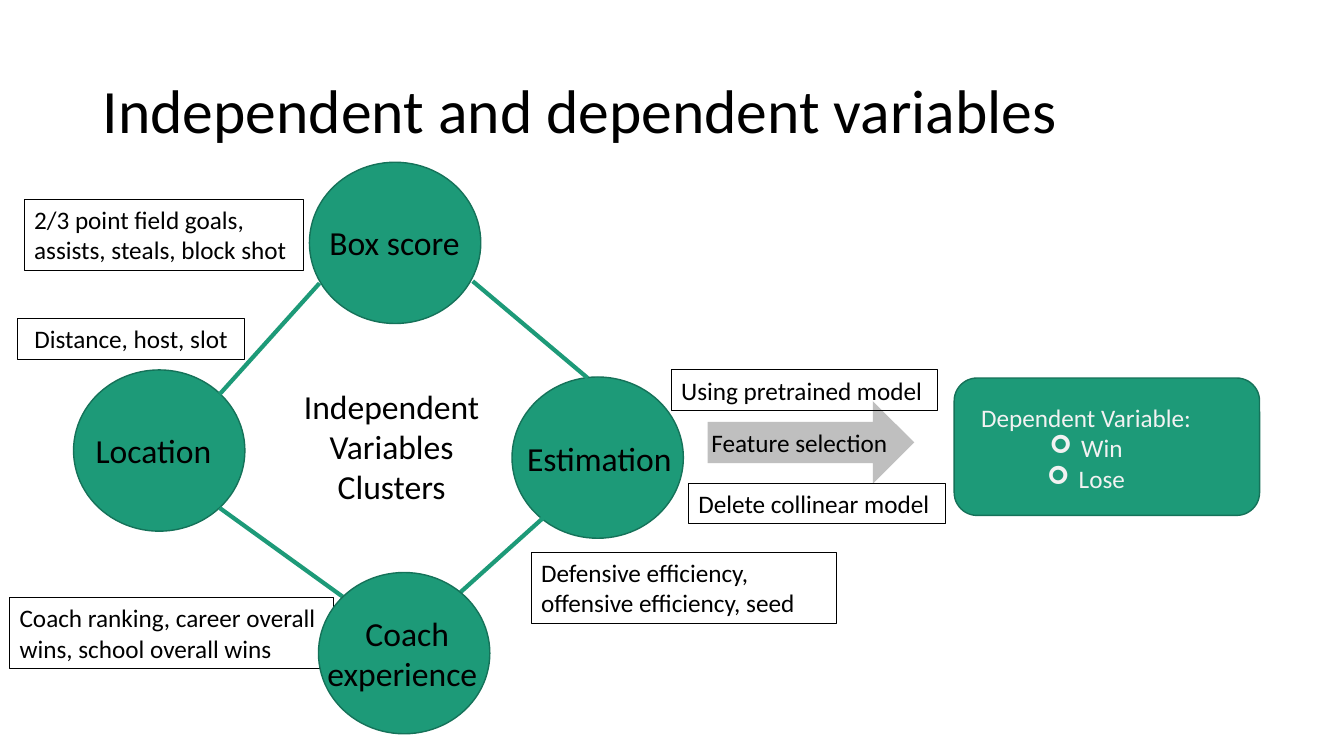
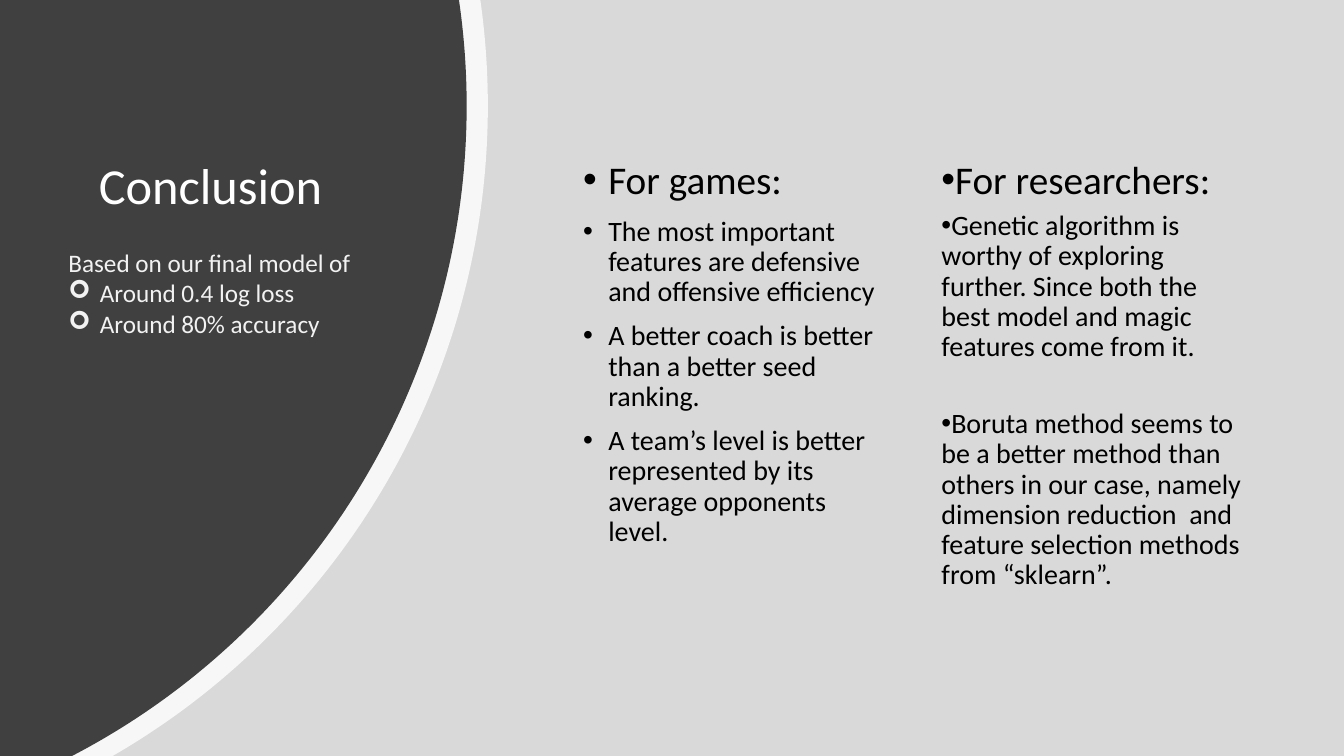
import math
from dataclasses import dataclass
from typing import Any, Optional

import pptx
import pptx.dml.color
import pptx.enum.shapes
import pptx.enum.text
import pptx.oxml.ns
import pptx.slide
import pptx.util
from lxml import etree

RGBColor = pptx.dml.color.RGBColor
GREEN = RGBColor(0x1D, 0x9A, 0x78)
DARK_GREEN = RGBColor(0x15, 0x72, 0x59)
BLACK = RGBColor(0x00, 0x00, 0x00)
WHITE = RGBColor(0xFF, 0xFF, 0xFF)
OFF_WHITE = RGBColor(0xF2, 0xF2, 0xF2)
ARROW_GREY = RGBColor(0xBF, 0xBF, 0xBF)
PAGE_GREY = RGBColor(0xD9, 0xD9, 0xD9)
PANEL_GREY = RGBColor(0x40, 0x40, 0x40)

SHAPE = pptx.enum.shapes.MSO_SHAPE
ANCHOR = pptx.enum.text.MSO_ANCHOR
AUTO_SIZE = pptx.enum.text.MSO_AUTO_SIZE
LEFT = pptx.enum.text.PP_ALIGN.LEFT
CENTER = pptx.enum.text.PP_ALIGN.CENTER
qn = pptx.oxml.ns.qn

# The slide is a grid of square cells, twelve to the inch
COLUMNS, ROWS = 160, 90
FONT = "Calibri"
GROWING = {"word_wrap": True, "auto_size": AUTO_SIZE.SHAPE_TO_FIT_TEXT}
FIXED = {"word_wrap": True, "auto_size": AUTO_SIZE.NONE}
TITLE_LINES = {"line_spacing": 0.9}
GAMES_LINES = {"line_spacing": 0.9, "space_before": pptx.util.Pt(10)}
RESEARCH_LINES = {"line_spacing": 0.9, "space_before": pptx.util.Pt(0),
                  "space_after": pptx.util.Pt(6)}


@dataclass(frozen=True)
class Box:
    left: float
    top: float
    width: float
    height: float


@dataclass(frozen=True)
class Bullet:
    symbol: str
    font: str
    margin: float
    indent: float


@dataclass(frozen=True)
class Line:
    text: str
    size: int = 18
    align: Any = LEFT
    bullet: Optional[Bullet] = None
    space_before: Optional[int] = None


@dataclass(frozen=True)
class Cluster:
    left: float
    top: float
    label: Box
    lines: tuple


@dataclass(frozen=True)
class Callout:
    box: Box
    text: str
    align: Any = LEFT


@dataclass(frozen=True)
class Disc:
    right: float
    radius: float
    color: RGBColor
    opacity: int


ARROW_BULLET = Bullet("➢", "Wingdings", 3.75, -3.75)
HANGING_DOT = Bullet("•", "Arial", 3, -3)
FLUSH_DOT = Bullet("•", "Arial", 0, -3)

# Contents of the variables slide
CIRCLE_WIDTH, CIRCLE_HEIGHT = 20.4, 19.2
CLUSTERS = (
    Cluster(36.84, 19.32, Box(38.04, 25.86, 18, 6.06), (Line("Box score", 24),)),
    Cluster(60.96, 44.88, Box(61.56, 51.48, 19.8, 6.06), (Line("Estimation", 24),)),
    Cluster(8.76, 44.04, Box(10.2, 50.64, 19.8, 6.06), (Line("Location", 24),)),
)
COACH = Cluster(37.92, 68.16, Box(37.8, 72.36, 21.36, 10.91),
                (Line("Coach", 24, CENTER), Line("experience", 24)))
CLUSTER_CALLOUTS = (
    Callout(Box(2.04, 37.92, 27.12, 4.85), "Distance, host, slot", CENTER),
    Callout(Box(2.88, 23.76, 33.24, 8.48), "2/3 point field goals, assists, steals, block shot"),
    Callout(Box(1.15, 71.16, 38.52, 8.48), "Coach ranking, career overall wins, school overall wins"),
    Callout(Box(63.24, 65.76, 36.36, 8.48), "Defensive efficiency, offensive efficiency, seed"),
)
MODEL_CALLOUTS = (
    Callout(Box(79.92, 44.04, 31.68, 4.85), "Using pretrained model"),
    Callout(Box(81.96, 57.53, 30.6, 4.85), "Delete collinear model"),
)
LINKS = (
    (26.16, 46.92, 38.04, 33.72),
    (56.28, 33.48, 69.96, 45),
    (26.16, 60.48, 40.8, 71.04),
    (65.04, 61.32, 54.36, 70.92),
)

# Contents of the conclusion slide
DISC_CENTER_ROW = 12.6
DISCS = (Disc(58.08, 89.4, WHITE, 80), Disc(55.56, 87.25, PANEL_GREY, 100))
GAMES = (
    "The most important features are defensive and offensive efficiency",
    "A better coach is better than a better seed ranking.",
    "A team’s level is better represented by its average opponents level.",
)
GENETIC = ("Genetic algorithm is worthy of exploring further. "
           "Since both the best model and magic features come from it.")
BORUTA = ("Boruta method seems to be a better method than others in our case, namely "
          "dimension reduction  and feature selection methods from “sklearn”.")


def cells(count: float) -> pptx.util.Emu:
    return pptx.util.Inches(count / 12)


def place(box: Box) -> tuple:
    return tuple(cells(side) for side in (box.left, box.top, box.width, box.height))


def apply_format(target: Any, values: dict) -> None:
    for name, value in values.items():
        setattr(target, name, value)


def add_bullet(paragraph: Any, bullet: Bullet) -> None:
    properties = paragraph._p.get_or_add_pPr()
    properties.set("marL", str(cells(bullet.margin)))
    properties.set("indent", str(cells(bullet.indent)))
    etree.SubElement(properties, qn("a:buFont")).set("typeface", bullet.font)
    etree.SubElement(properties, qn("a:buChar")).set("char", bullet.symbol)


def write(shape: Any, lines: tuple, color: RGBColor = BLACK,
          frame_format: dict = GROWING, line_format: Optional[dict] = None) -> None:
    frame = shape.text_frame
    apply_format(frame, frame_format)
    for index, line in enumerate(lines):
        paragraph = frame.add_paragraph() if index else frame.paragraphs[0]
        if line.bullet:
            add_bullet(paragraph, line.bullet)
        apply_format(paragraph, {"alignment": line.align, **(line_format or {})})
        if index == 0:
            paragraph.space_before = pptx.util.Pt(0)
        elif line.space_before is not None:
            paragraph.space_before = pptx.util.Pt(line.space_before)
        run = paragraph.add_run()
        run.text = line.text
        apply_format(run.font, {"name": FONT, "size": pptx.util.Pt(line.size)})
        run.font.color.rgb = color


def add_text(shapes: Any, box: Box, lines: tuple, color: RGBColor = BLACK) -> Any:
    textbox = shapes.add_textbox(*place(box))
    write(textbox, lines, color)
    return textbox


def fill_placeholder(shape: Any, box: Box, lines: tuple, line_format: dict,
                     color: RGBColor = BLACK, anchor: Any = ANCHOR.TOP) -> None:
    apply_format(shape, dict(zip(("left", "top", "width", "height"), place(box))))
    write(shape, lines, color, {**FIXED, "vertical_anchor": anchor}, line_format)


def paint(shape: Any, fill: RGBColor, outline: Optional[RGBColor] = None) -> None:
    shape.shadow.inherit = False
    shape.fill.solid()
    shape.fill.fore_color.rgb = fill
    if outline is None:
        shape.line.fill.background()
    else:
        shape.line.color.rgb = outline
        shape.line.width = pptx.util.Pt(1)


def add_shape(shapes: Any, kind: Any, box: Box, fill: RGBColor,
              outline: Optional[RGBColor] = None) -> None:
    paint(shapes.add_shape(kind, *place(box)), fill, outline)


def add_cluster(slide: pptx.slide.Slide, cluster: Cluster) -> None:
    group = slide.shapes.add_group_shape()
    circle = Box(cluster.left, cluster.top, CIRCLE_WIDTH, CIRCLE_HEIGHT)
    add_shape(group.shapes, SHAPE.OVAL, circle, GREEN, DARK_GREEN)
    add_text(group.shapes, cluster.label, cluster.lines)


def add_callout(slide: pptx.slide.Slide, callout: Callout) -> None:
    textbox = add_text(slide.shapes, callout.box, (Line(callout.text, align=callout.align),))
    textbox.line.color.rgb = BLACK
    textbox.line.width = pptx.util.Pt(0.75)


def add_link(slide: pptx.slide.Slide, ends: tuple) -> None:
    connector = slide.shapes.add_connector(
        pptx.enum.shapes.MSO_CONNECTOR.STRAIGHT, *(cells(end) for end in ends))
    connector.line.color.rgb = GREEN
    connector.line.width = pptx.util.Pt(3)
    etree.SubElement(connector.element.spPr, qn("a:effectLst"))


def curve_controls(disc: Disc, start: float, end: float) -> list:
    """Return the two Bezier controls of the arc between two angles."""
    reach = disc.radius * 4 / 3 * math.tan((end - start) / 4)
    controls = []
    for angle, pull in ((start, reach), (end, -reach)):
        column = disc.right - disc.radius * (1 - math.cos(angle)) - pull * math.sin(angle)
        row = DISC_CENTER_ROW + disc.radius * math.sin(angle) + pull * math.cos(angle)
        controls.append((cells(column), cells(row)))
    return controls


def add_disc(slide: pptx.slide.Slide, disc: Disc) -> None:
    """Draw the part of a large disc that lies on the slide."""
    angles = [math.asin((row - DISC_CENTER_ROW) / disc.radius)
              for row in (0, DISC_CENTER_ROW, ROWS)]
    edge = [(cells(disc.right - disc.radius * (1 - math.cos(angle))),
             cells(DISC_CENTER_ROW + disc.radius * math.sin(angle))) for angle in angles]
    builder = slide.shapes.build_freeform(0, 0)
    builder.add_line_segments([*edge, (0, cells(ROWS))], close=True)
    shape = builder.convert_to_shape()
    paint(shape, disc.color)
    # Bend the two segments along the rim
    rim = shape.element.spPr.findall(".//" + qn("a:lnTo"))[1:3]
    for segment, start, end in zip(rim, angles, angles[1:]):
        curve = etree.Element(qn("a:cubicBezTo"))
        for column, row in curve_controls(disc, start, end):
            point = etree.SubElement(curve, qn("a:pt"))
            point.set("x", str(column))
            point.set("y", str(row))
        curve.append(segment[0])
        segment.getparent().replace(segment, curve)
    if disc.opacity < 100:
        color = shape.element.spPr.find(".//" + qn("a:srgbClr"))
        etree.SubElement(color, qn("a:alpha")).set("val", str(disc.opacity * 1000))


def build_variables(presentation: Any) -> None:
    slide = presentation.slides.add_slide(presentation.slide_layouts[5])
    shapes = slide.shapes
    fill_placeholder(shapes.title, Box(11.04, 4.8, 138, 17.4),
                     (Line("Independent and dependent variables", 44),),
                     TITLE_LINES, anchor=ANCHOR.MIDDLE)
    # Ring of clusters
    for cluster in CLUSTERS:
        add_cluster(slide, cluster)
    add_text(shapes, Box(34.08, 45.3, 25.08, 15.75),
             (Line("Independent Variables Clusters", 24, CENTER),))
    for callout in CLUSTER_CALLOUTS:
        add_callout(slide, callout)
    for link in LINKS:
        add_link(slide, link)
    add_cluster(slide, COACH)
    # Selection arrow and outcome
    add_shape(shapes, SHAPE.RIGHT_ARROW, Box(84.24, 47.76, 24.6, 9.84), ARROW_GREY)
    add_text(shapes, Box(83.52, 50.28, 24.6, 4.85), (Line("Feature selection"),))
    add_shape(shapes, SHAPE.ROUNDED_RECTANGLE, Box(113.6, 45, 36.36, 16.36), GREEN, DARK_GREEN)
    outcomes = tuple(Line(text, align=CENTER, bullet=ARROW_BULLET) for text in ("Win", "Lose"))
    add_text(shapes, Box(114.48, 47.33, 29.64, 12.12),
             (Line("Dependent Variable:", align=CENTER), *outcomes), OFF_WHITE)
    for callout in MODEL_CALLOUTS:
        add_callout(slide, callout)


def build_conclusion(presentation: Any) -> None:
    slide = presentation.slides.add_slide(presentation.slide_layouts[3])
    title, games, research = list(slide.placeholders)
    # Backdrop, with the placeholders brought in front of it
    add_shape(slide.shapes, SHAPE.RECTANGLE, Box(0, 0, COLUMNS, ROWS), PAGE_GREY)
    for disc in DISCS:
        add_disc(slide, disc)
    for placeholder in (title, games, research):
        slide.shapes.element.append(placeholder.element)
    # Title and lists
    fill_placeholder(title, Box(10.56, 18.54, 37.68, 28.32), (Line("Conclusion", 36),),
                     TITLE_LINES, WHITE)
    fill_placeholder(games, Box(68.22, 18.52, 38.4, 57.24),
                     (Line("For games:", 28, bullet=HANGING_DOT),
                      *(Line(text, 20, bullet=HANGING_DOT) for text in GAMES)), GAMES_LINES)
    fill_placeholder(research, Box(110.88, 18.52, 38.4, 57.24),
                     (Line("For researchers:", 28, bullet=FLUSH_DOT),
                      Line(GENETIC, 20, bullet=FLUSH_DOT),
                      Line(BORUTA, 20, bullet=FLUSH_DOT, space_before=27.5)), RESEARCH_LINES)
    results = tuple(Line(text, bullet=ARROW_BULLET)
                    for text in ("Around 0.4 log loss", "Around 80% accuracy"))
    add_text(slide.shapes, Box(6.96, 28.88, 42.24, 12.12),
             (Line("Based on our final model of"), *results), OFF_WHITE)


def main() -> None:
    presentation = pptx.Presentation()
    presentation.slide_width = cells(COLUMNS)
    presentation.slide_height = cells(ROWS)
    build_variables(presentation)
    build_conclusion(presentation)
    presentation.save("out.pptx")


if __name__ == "__main__":
    main()
